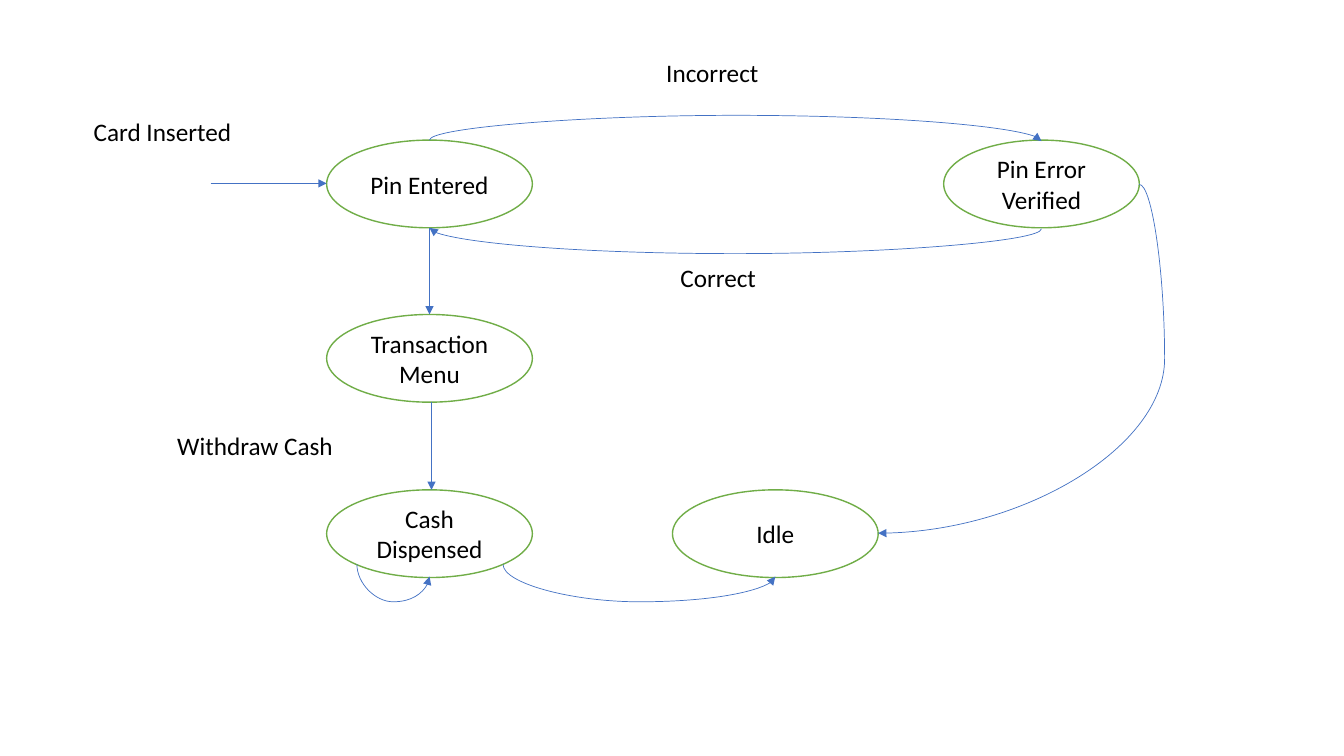
from lxml.etree import SubElement
from pptx import Presentation
from pptx.dml.color import RGBColor
from pptx.enum.shapes import MSO_CONNECTOR, MSO_SHAPE
from pptx.enum.text import MSO_ANCHOR, MSO_AUTO_SIZE, PP_ALIGN
from pptx.oxml.ns import qn
from pptx.util import Inches, Pt

WHITE = RGBColor(0xFF, 0xFF, 0xFF)
BLACK = RGBColor(0x00, 0x00, 0x00)
GREEN = RGBColor(0x70, 0xAD, 0x47)
BLUE = RGBColor(0x44, 0x72, 0xC4)

STATE_W, STATE_H = 2.04, 0.87
LEFT_X, IDLE_X, ERROR_X = 3.24, 6.67, 9.36
ROWS = [1.39, 3.12, 4.86]
BULGE = 0.25


class StateDiagram:
    """Draws states, labels and transitions on one slide."""

    def __init__(self, slide):
        self.shapes = slide.shapes
        self.font, self.size = "Calibri", Pt(18)

    def set_text(self, tf, text):
        p = tf.paragraphs[0]
        p.text = text
        p.font.name, p.font.size = self.font, self.size
        p.font.color.rgb = BLACK
        return p

    def state(self, text, x, y, w=STATE_W):
        sp = self.shapes.add_shape(
            MSO_SHAPE.OVAL, Inches(x), Inches(y), Inches(w), Inches(STATE_H))
        sp.shadow.inherit = False
        sp.fill.solid()
        sp.fill.fore_color.rgb = WHITE
        sp.line.color.rgb = GREEN
        sp.line.width = Pt(1)
        tf = sp.text_frame
        tf.word_wrap = True
        tf.vertical_anchor = MSO_ANCHOR.MIDDLE
        self.set_text(tf, text).alignment = PP_ALIGN.CENTER

    def label(self, text, x, y, w):
        tf = self.shapes.add_textbox(
            Inches(x), Inches(y), Inches(w), Inches(0.4)).text_frame
        tf.word_wrap = False
        tf.auto_size = MSO_AUTO_SIZE.SHAPE_TO_FIT_TEXT
        self.set_text(tf, text)

    def arrow(self, x1, y1, x2, y2, kind=MSO_CONNECTOR.STRAIGHT):
        c = self.shapes.add_connector(
            kind, Inches(x1), Inches(y1), Inches(x2), Inches(y2))
        c.line.color.rgb = BLUE
        c.line.width = Pt(0.5)
        spPr = c._element.spPr
        SubElement(spPr.find(qn("a:ln")), qn("a:tailEnd"), type="triangle")
        SubElement(spPr, qn("a:effectLst"))
        return c

    def curve(self, x1, y1, x2, y2, bulge, turn=0):
        w, h = abs(x2 - x1), abs(y2 - y1)
        if turn:
            w, h = h, w
        left, top = (x1 + x2 - w) / 2, (y1 + y2 - h) / 2
        c = self.arrow(left + w, top, left, top + h, MSO_CONNECTOR.CURVE)
        spPr = c._element.spPr
        spPr.find(qn("a:xfrm")).set("rot", str(turn * 60000))
        av = spPr.find(qn("a:prstGeom")).find(qn("a:avLst"))
        SubElement(av, qn("a:gd"), name="adj1",
                   fmla=f"val {round(bulge / w * 100000)}")


def main():
    prs = Presentation()
    prs.slide_width, prs.slide_height = Inches(13.33), Inches(7.5)
    d = StateDiagram(prs.slides.add_slide(prs.slide_layouts[6]))

    for text, y in zip(["Pin Entered", "Transaction Menu", "Cash Dispensed"], ROWS):
        d.state(text, LEFT_X, y)
    d.state("Pin Error Verified", ERROR_X, ROWS[0], 1.94)
    d.state("Idle", IDLE_X, ROWS[2])

    d.label("Card Inserted", 0.83, 1.11, 1.58)
    d.label("Incorrect", 6.51, 0.52, 1.13)
    d.label("Correct", 6.65, 2.55, 0.96)
    d.label("Withdraw Cash", 1.66, 4.22, 1.76)

    d.arrow(2.09, 1.82, LEFT_X, 1.82)
    d.arrow(4.26, 2.26, 4.26, ROWS[1])
    d.arrow(4.28, 3.99, 4.28, ROWS[2])

    d.curve(4.26, 1.39, 10.33, 1.4, -BULGE, 270)
    d.curve(10.33, 2.27, 4.26, 2.26, -BULGE, 90)
    d.curve(11.3, 1.83, 8.71, 5.29, -BULGE)
    d.curve(3.54, 5.6, 4.26, 5.72, 0.37, 270)
    d.curve(4.99, 5.6, 7.69, 5.72, 0.37, 270)

    prs.save("out.pptx")


if __name__ == "__main__":
    main()
